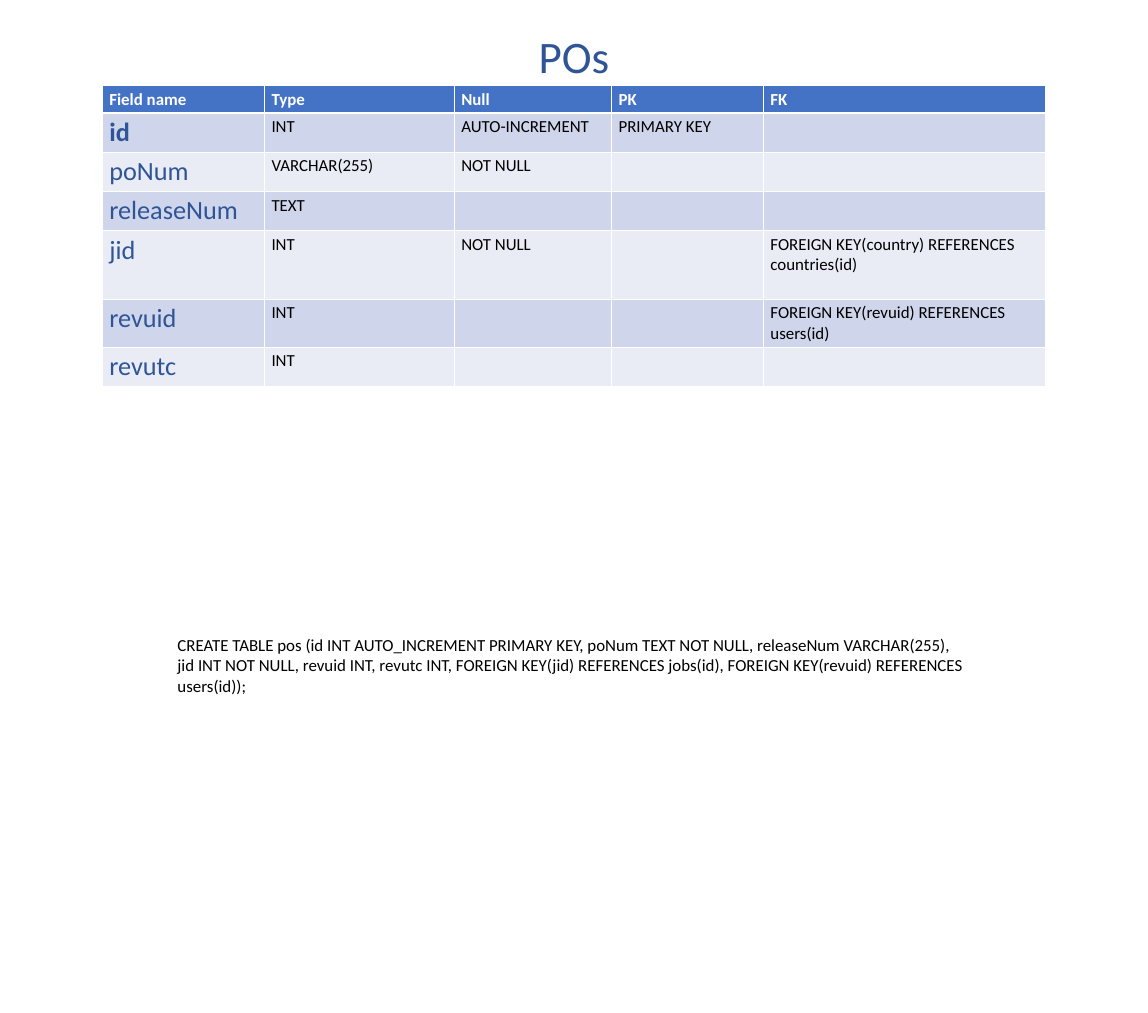
from lxml.etree import SubElement
from pptx import Presentation
from pptx.dml.color import RGBColor
from pptx.enum.text import MSO_ANCHOR, MSO_AUTO_SIZE, PP_ALIGN
from pptx.oxml.ns import qn
from pptx.util import Inches, Pt

WIDTH, HEIGHT = Inches(17), Inches(15)
WHITE = RGBColor(0xFF, 0xFF, 0xFF)
BLACK = RGBColor(0, 0, 0)
NAVY = RGBColor(0x2F, 0x55, 0x97)
HEADER_BLUE = RGBColor(0x44, 0x72, 0xC4)
BANDS = (RGBColor(0xE9, 0xEB, 0xF5), RGBColor(0xCF, 0xD5, 0xEA))

HEADER = {"size": Pt(18), "bold": True, "color": WHITE}
FIELD = {"size": Pt(28), "bold": False, "color": NAVY}
KEY_FIELD = {**FIELD, "bold": True}
BODY = {"size": Pt(18), "bold": False, "color": BLACK}
TITLE = {"size": Pt(48), "bold": False, "color": NAVY}

COLUMN_SHARES = (17.2, 20.13, 16.69, 16.11, 29.87)  # percent of table width
ROW_SHARES = (2.67, 3.87, 3.87, 3.87, 6.75, 4.73, 3.87)  # percent of slide height
FIELDS = (
    ("Field name", "Type", "Null", "PK", "FK"),
    ("id", "INT", "AUTO-INCREMENT", "PRIMARY KEY", ""),
    ("poNum", "VARCHAR(255)", "NOT NULL", "", ""),
    ("releaseNum", "TEXT", "", "", ""),
    ("jid", "INT", "NOT NULL", "", "FOREIGN KEY(country) REFERENCES countries(id)"),
    ("revuid", "INT", "", "", "FOREIGN KEY(revuid) REFERENCES users(id)"),
    ("revutc", "INT", "", "", ""),
)
STATEMENT = (
    "CREATE TABLE pos (id INT AUTO_INCREMENT PRIMARY KEY, poNum TEXT NOT NULL, "
    "releaseNum VARCHAR(255), jid INT NOT NULL, revuid INT, revutc INT, "
    "FOREIGN KEY(jid) REFERENCES jobs(id), FOREIGN KEY(revuid) REFERENCES users(id));"
)


def share(percent, whole):
    return round(whole * percent / 100)


def area(left, top, width, height):
    """Turn percentages of the slide into a left, top, width, height tuple."""
    return (share(left, WIDTH), share(top, HEIGHT),
            share(width, WIDTH), share(height, HEIGHT))


def write(frame, text, style, align=PP_ALIGN.LEFT):
    para = frame.paragraphs[0]
    para.alignment = align
    span = para.add_run()
    span.text = text
    formats = {"name": "Calibri", "size": style["size"], "bold": style["bold"]}
    for name, value in formats.items():
        setattr(span.font, name, value)
    span.font.color.rgb = style["color"]


def add_borders(cell, bottom):
    """Draw white cell edges; they must precede the fill in the cell's XML."""
    properties = cell._tc.get_or_add_tcPr()
    for side, points in {"L": 1, "R": 1, "T": 1, "B": bottom}.items():
        line = SubElement(properties, qn(f"a:ln{side}"), w=str(Pt(points)))
        fill = SubElement(line, qn("a:solidFill"))
        SubElement(fill, qn("a:srgbClr"), val=str(WHITE))


def cell_style(row, column):
    if row == 0:
        return HEADER
    if column > 0:
        return BODY
    return KEY_FIELD if row == 1 else FIELD


def add_title(page, text):
    title = page.shapes.title
    title.left, title.top, title.width, title.height = area(40.88, 2.47, 18.24, 6.07)
    frame = title.text_frame
    formats = {"word_wrap": True, "auto_size": MSO_AUTO_SIZE.NONE,
               "vertical_anchor": MSO_ANCHOR.TOP}
    for name, value in formats.items():
        setattr(frame, name, value)
    write(frame, text, TITLE, PP_ALIGN.CENTER)


def add_field_table(page):
    place = area(8.94, 8.47, 82.12, sum(ROW_SHARES))
    table = page.shapes.add_table(len(FIELDS), len(COLUMN_SHARES), *place).table
    for column, percent in zip(table.columns, COLUMN_SHARES):
        column.width = share(percent, place[2])
    for row, percent in zip(table.rows, ROW_SHARES):
        row.height = share(percent, HEIGHT)
    for row, texts in enumerate(FIELDS):
        for column, text in enumerate(texts):
            cell = table.cell(row, column)
            add_borders(cell, bottom=1 if row else 3)
            cell.fill.solid()
            cell.fill.fore_color.rgb = BANDS[row % 2] if row else HEADER_BLUE
            if text:
                write(cell.text_frame, text, cell_style(row, column))


def add_statement(page, text):
    box = page.shapes.add_textbox(*area(14.88, 62.33, 69.71, 6.73))
    box.text_frame.word_wrap = True
    write(box.text_frame, text, BODY)


def main():
    deck = Presentation()
    deck.slide_width, deck.slide_height = WIDTH, HEIGHT
    page = deck.slides.add_slide(deck.slide_layouts.get_by_name("Title Only"))
    add_field_table(page)
    add_title(page, "POs")
    add_statement(page, STATEMENT)
    deck.save("out.pptx")


if __name__ == "__main__":
    main()
